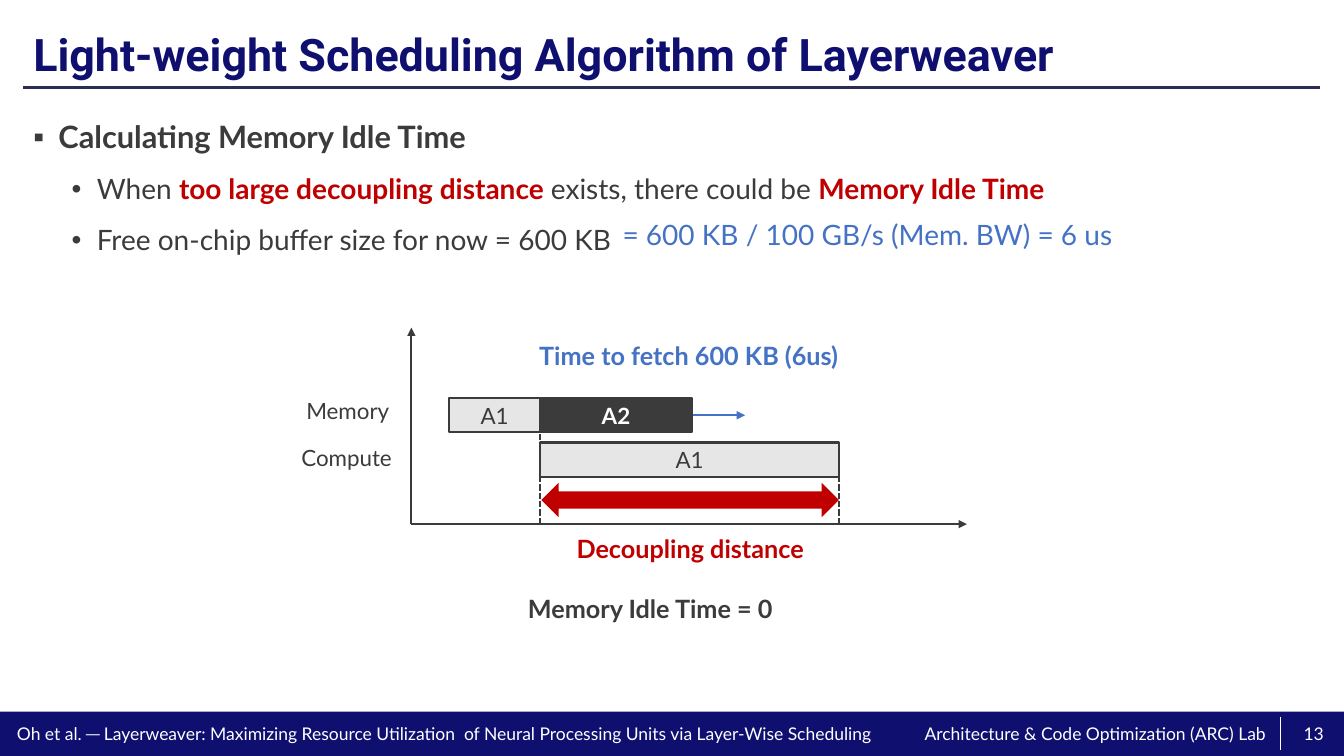
from lxml import etree
from pptx import Presentation
from pptx import util as u
from pptx.dml.color import RGBColor
from pptx.enum import dml, shapes, text
from pptx.oxml import ns

PX = u.Inches(1) // 100
COLORS = {
    "navy": "0F0F70", "rule": "2C2C54", "ink": "3B3B3B", "red": "C00000",
    "blue": "4472C4", "gray": "E7E6E6", "white": "FFFFFF",
}
ALIGN = text.PP_ALIGN
ANCHOR = text.MSO_ANCHOR


def px(*lengths):
    return [length * PX for length in lengths]


def color(name):
    return RGBColor.from_string(COLORS[name])


def format_run(run, size, color_name, bold=False, font="Lato"):
    run.font.name = font
    run.font.size = u.Pt(size)
    run.font.bold = bold
    run.font.color.rgb = color(color_name)


def write(shape, words, size, color_name, bold=False, align=ALIGN.CENTER):
    shape.text_frame.text = words
    paragraph = shape.text_frame.paragraphs[0]
    paragraph.alignment = align
    format_run(paragraph.runs[0], size, color_name, bold)


def add_label(slide, box, words, size, color_name, bold=False,
              align=ALIGN.CENTER, inset=True):
    label = slide.shapes.add_textbox(*px(*box))
    frame = label.text_frame
    frame.word_wrap = False
    if not inset:
        frame.margin_left = frame.margin_right = 0
        frame.margin_top = frame.margin_bottom = 0
    write(label, words, size, color_name, bold, align)
    return label


def add_block(slide, kind, box, fill, outline=None):
    block = slide.shapes.add_shape(kind, *px(*box))
    block.shadow.inherit = False
    block.fill.solid()
    block.fill.fore_color.rgb = color(fill)
    if outline:
        block.line.color.rgb = color(outline)
        block.line.width = u.Pt(1.5)
    else:
        block.line.fill.background()
    return block


def add_line(slide, start, end, color_name, width=1.5, dashed=False, arrow=False):
    line = slide.shapes.add_connector(
        shapes.MSO_CONNECTOR.STRAIGHT, *px(*start, *end))
    line.line.color.rgb = color(color_name)
    line.line.width = u.Pt(width)
    if dashed:
        line.line.dash_style = dml.MSO_LINE.SQUARE_DOT
    properties = line._element.spPr
    if arrow:
        outline = properties.find(ns.qn("a:ln"))
        etree.SubElement(outline, ns.qn("a:tailEnd"), type="triangle")
    etree.SubElement(properties, ns.qn("a:effectLst"))


def place(placeholder, box):
    placeholder.left, placeholder.top, placeholder.width, placeholder.height = px(*box)
    placeholder.text_frame.auto_size = text.MSO_AUTO_SIZE.NONE


def add_heading(slide, box):
    left, top, width, height = box
    title = slide.shapes.title
    place(title, box)
    title.text_frame.text = "Light-weight Scheduling Algorithm of Layerweaver"
    title.text_frame.vertical_anchor = ANCHOR.MIDDLE
    paragraph = title.text_frame.paragraphs[0]
    paragraph.alignment = ALIGN.LEFT
    paragraph.line_spacing = 0.9
    format_run(paragraph.runs[0], 32, "navy", True, "Roboto")
    rule_y = top + height - 8
    add_line(slide, (left, rule_y), (left + width, rule_y), "rule", 2)


def add_bullets(slide, box):
    left, top, _, _ = box
    items = [
        (0, [("Calculating Memory Idle Time", "ink", True)]),
        (1, [("When ", "ink", False),
             ("too large decoupling distance ", "red", True),
             ("exists, there could be ", "ink", False),
             ("Memory Idle Time", "red", True)]),
        (1, [("Free on-chip buffer size for now = 600 KB", "ink", False)]),
    ]
    styles = [(22, 10, 25, "▪"), (20, 5, 63, "•")]
    body = slide.placeholders[1]
    place(body, box)
    frame = body.text_frame
    for index, (level, pieces) in enumerate(items):
        size, space, margin, bullet = styles[level]
        paragraph = frame.add_paragraph() if index else frame.paragraphs[0]
        paragraph.level = level
        paragraph.line_spacing = 1.3
        paragraph.space_before = u.Pt(space)
        for words, color_name, bold in pieces:
            run = paragraph.add_run()
            run.text = words
            format_run(run, size, color_name, bold)
        properties = paragraph._p.get_or_add_pPr()
        properties.set("marL", str(margin * PX))
        properties.set("indent", str(-25 * PX))
        etree.SubElement(properties, ns.qn("a:buFont"), typeface="Arial")
        etree.SubElement(properties, ns.qn("a:buChar"), char=bullet)
    add_label(slide, (left + 577, top + 110, 521, 44),
              "= 600 KB / 100 GB/s (Mem. BW) = 6 us", 20, "blue")


def add_timeline(slide, box):
    left, top, width, height = box
    bottom = top + height
    memory_y, compute_y, bar_height = top + 70, top + 114, 34
    load_start, split, load_end, compute_end = [
        left + offset for offset in (37, 128, 278, 424)]
    compute_width = compute_end - split

    for end in ((left, top), (left + width, bottom)):
        add_line(slide, (left, bottom), end, "ink", arrow=True)
    for words, x, y, label_width in (("Memory", 294, 64, 104),
                                     ("Compute", 289, 111, 112)):
        add_label(slide, (x - 408 + left, top + y, label_width, 37), words, 16,
                  "ink", align=ALIGN.LEFT)

    fetch_y = memory_y + bar_height // 2
    add_line(slide, (split, fetch_y), (left + 331, fetch_y), "blue", arrow=True)
    bars = [
        ("A1", load_start, memory_y, split, "gray", "ink", False),
        ("A1", split, compute_y, compute_end, "gray", "ink", False),
        ("A2", split, memory_y, load_end, "ink", "white", True),
    ]
    for words, start, y, end, fill, font_color, bold in bars:
        bar = add_block(slide, shapes.MSO_SHAPE.RECTANGLE,
                        (start, y, end - start, bar_height), fill, "ink")
        bar.text_frame.vertical_anchor = ANCHOR.MIDDLE
        write(bar, words, 16, font_color, bold)

    add_block(slide, shapes.MSO_SHAPE.LEFT_RIGHT_ARROW,
              (split + 1, top + 154, compute_width - 1, bar_height), "red")
    for x, y in ((split, memory_y), (compute_end, compute_y)):
        add_line(slide, (x, bottom), (x, y + bar_height), "ink", dashed=True)

    captions = [
        ("Time to fetch 600 KB (6us)", 114, 8, 322, "blue"),
        ("Decoupling distance", 152, 199, 249, "red"),
        ("Memory Idle Time = 0", 103, 259, 268, "ink"),
    ]
    for words, x, y, caption_width, color_name in captions:
        add_label(slide, (left + x, top + y, caption_width, 40), words, 18,
                  color_name, True)


def add_footer(slide, box):
    left, top, width, height = box
    add_block(slide, shapes.MSO_SHAPE.RECTANGLE, box, "navy")
    entries = [
        ("Oh et al. ─ Layerweaver: Maximizing Resource Utilization  of Neural "
         "Processing Units via Layer-Wise Scheduling", 7, 867, ALIGN.CENTER),
        ("Architecture & Code Optimization (ARC) Lab", 917, 359, ALIGN.LEFT),
        ("13", 1279, 48, ALIGN.CENTER),
    ]
    for words, x, entry_width, align in entries:
        add_label(slide, (left + x, top + 11, entry_width, 21), words, 12.5,
                  "white", align=align, inset=False)
    divider = left + width - 63
    add_line(slide, (divider, top + 5), (divider, top + height - 6), "white", 0.5)


def main():
    presentation = Presentation()
    presentation.slide_width, presentation.slide_height = px(1333, 750)
    slide = presentation.slides.add_slide(presentation.slide_layouts[1])
    add_heading(slide, (23, 18, 1286, 77))
    add_bullets(slide, (23, 101, 1286, 155))
    add_timeline(slide, (408, 325, 551, 195))
    add_footer(slide, (0, 706, 1333, 44))
    presentation.save("out.pptx")


if __name__ == "__main__":
    main()
